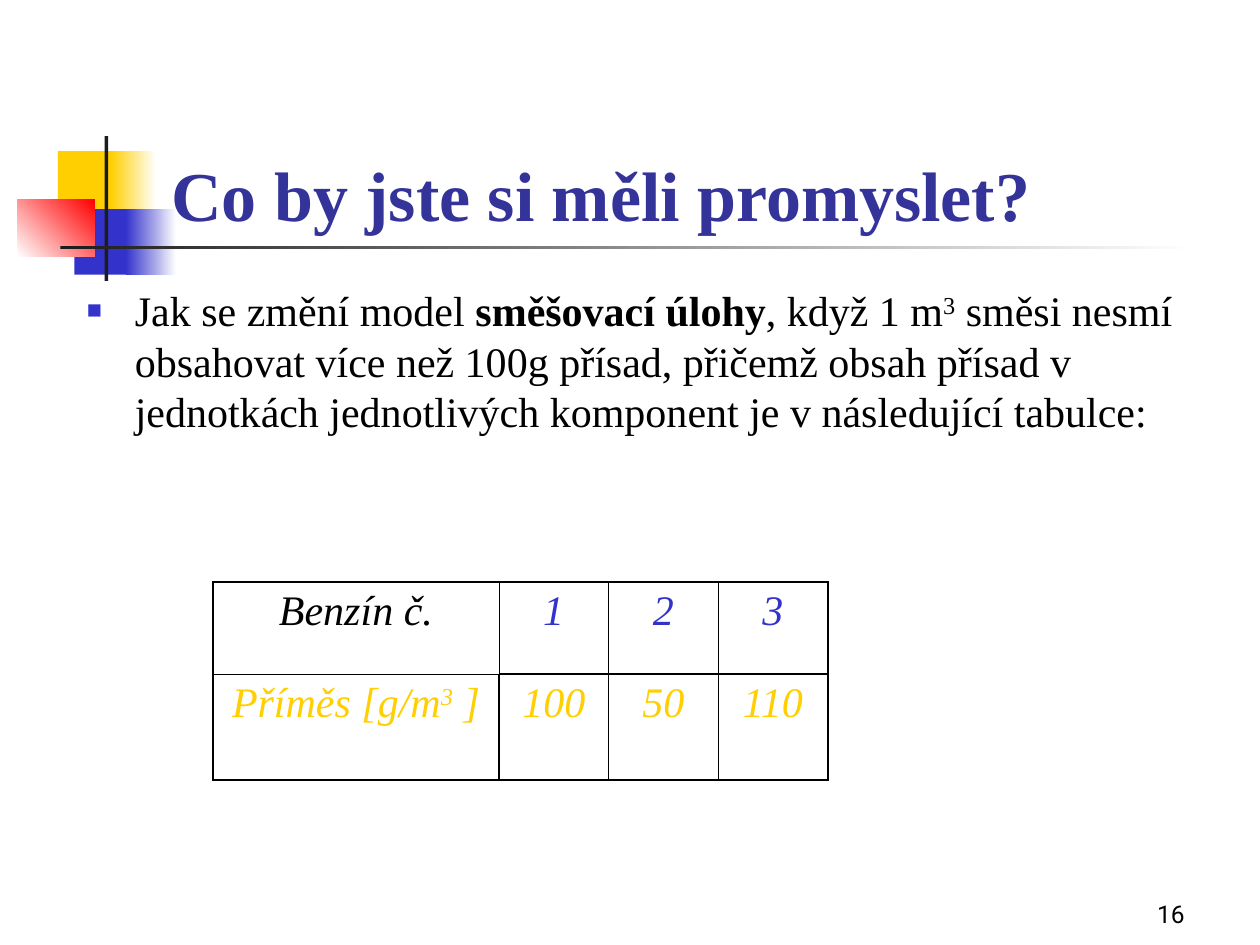
from lxml import etree
from pptx import Presentation
from pptx.dml.color import RGBColor
from pptx.enum.shapes import MSO_SHAPE
from pptx.enum.text import MSO_ANCHOR, MSO_AUTO_SIZE, PP_ALIGN
from pptx.oxml.ns import qn
from pptx.util import Inches, Pt

RECTANGLE = MSO_SHAPE.RECTANGLE
BOTTOM, TOP = MSO_ANCHOR.BOTTOM, MSO_ANCHOR.TOP
LEFT, CENTER, RIGHT = PP_ALIGN.LEFT, PP_ALIGN.CENTER, PP_ALIGN.RIGHT
NO_AUTOFIT = MSO_AUTO_SIZE.NONE

SERIF = "Times New Roman"
BLACK, DARK, WHITE = "000000", "1C1C1C", "FFFFFF"
YELLOW, BLUE, RED, TITLE_BLUE = "FFCF01", "3333CC", "FF0000", "333399"
THIN, OUTER, THICK = 0.45, 1.08, 1.47


def color(value):
    return RGBColor.from_string(value)


def add_text(paragraph, text, size=24, font=SERIF, fill=BLACK,
             bold=False, italic=False, superscript=False):
    run = paragraph.add_run()
    run.text = text
    run.font.size = Pt(size)
    run.font.name = font
    run.font.color.rgb = color(fill)
    run.font.bold = bold
    run.font.italic = italic
    if superscript:
        run.font._element.set("baseline", "30000")


def place(shape, box):
    shape.left, shape.top, shape.width, shape.height = map(Inches, box)


def add_block(slide, box, start, end=None, angle=0):
    """Rectangle in one colour, or in a gradient when end is given."""
    shape = slide.shapes.add_shape(RECTANGLE, *map(Inches, box))
    shape.shadow.inherit = False
    shape.line.fill.background()
    if end is None:
        shape.fill.solid()
        shape.fill.fore_color.rgb = color(start)
        return
    shape.fill.gradient()
    shape.fill.gradient_angle = angle
    for stop, value in zip(shape.fill.gradient_stops, (start, end)):
        stop.color.rgb = color(value)


def add_decoration(slide, box):
    left, top, width, height = box
    # Coloured squares
    add_block(slide, (left + 0.32, top + 0.12, 0.48, 0.52), YELLOW)
    add_block(slide, (left + 0.74, top + 0.12, 0.36, 0.52), YELLOW, WHITE)
    add_block(slide, (left + 0.45, top + 0.58, 0.46, 0.52), BLUE)
    add_block(slide, (left + 0.86, top + 0.58, 0.4, 0.52), BLUE, WHITE)
    add_block(slide, (left, top + 0.5, 0.61, 0.46), WHITE, RED, angle=45)
    # Crossing bars
    add_block(slide, (left + 0.69, top, 0.03, height), DARK)
    add_block(slide, (left + 0.34, top + 0.87, width - 0.34, 0.03), DARK, WHITE)


def add_title(slide, box):
    title = slide.shapes.title
    place(title, box)
    frame = title.text_frame
    frame.auto_size = NO_AUTOFIT
    frame.vertical_anchor = BOTTOM
    paragraph = frame.paragraphs[0]
    paragraph.alignment = LEFT
    add_text(paragraph, "Co by jste si měli promyslet?", size=40,
             fill=TITLE_BLUE, bold=True)


def add_square_bullet(paragraph, indent):
    properties = paragraph._p.get_or_add_pPr()
    properties.set("marL", str(Inches(indent)))
    properties.set("indent", str(-Inches(indent)))
    bullet_color = etree.SubElement(properties, qn("a:buClr"))
    etree.SubElement(bullet_color, qn("a:srgbClr"), val=BLUE)
    etree.SubElement(properties, qn("a:buSzPct"), val="60000")
    etree.SubElement(properties, qn("a:buFont"), typeface=SERIF)
    etree.SubElement(properties, qn("a:buChar"), char="■")


def add_body(slide, box):
    body = slide.placeholders[1]
    place(body, box)
    frame = body.text_frame
    frame.auto_size = NO_AUTOFIT
    frame.vertical_anchor = TOP
    paragraph = frame.paragraphs[0]
    add_square_bullet(paragraph, 0.38)
    paragraph.space_before = Pt(0)
    add_text(paragraph, "Jak se změní model ")
    add_text(paragraph, "směšovací úlohy", bold=True)
    add_text(paragraph, ", když 1 m")
    add_text(paragraph, "3", superscript=True)
    add_text(paragraph, " směsi nesmí obsahovat více než 100g přísad, přičemž "
                        "obsah přísad v jednotkách jednotlivých komponent je "
                        "v následující tabulce:")


def set_borders(cell, **widths):
    properties = cell._tc.get_or_add_tcPr()
    for index, side in enumerate("LRTB"):
        line = etree.Element(qn("a:ln" + side), w=str(Pt(widths[side])))
        fill = etree.SubElement(line, qn("a:solidFill"))
        etree.SubElement(fill, qn("a:srgbClr"), val=BLACK)
        properties.insert(index, line)


def add_mixture_table(slide, box):
    rows = [
        (["Benzín č.", "1", "2", "3"], [BLACK, BLUE, BLUE, BLUE]),
        (["Příměs [g/m", "100", "50", "110"], [YELLOW] * 4),
    ]
    # Line widths: vertical ones by row, horizontal ones from top to bottom
    vertical = [[OUTER, THIN, THIN, THIN, OUTER],
                [OUTER, THICK, THIN, THIN, OUTER]]
    horizontal = [[OUTER] * 4, [THIN, THICK, THICK, THICK], [OUTER] * 4]

    table = slide.shapes.add_table(2, 4, *map(Inches, box)).table
    table.first_row = table.horz_banding = False
    for column, width in zip(table.columns, (2.27, 0.87, 0.87, 0.87)):
        column.width = Inches(width)
    for row, height in zip(table.rows, (0.73, 0.84)):
        row.height = Inches(height)

    for r, (texts, fills) in enumerate(rows):
        for c, (text, fill) in enumerate(zip(texts, fills)):
            cell = table.cell(r, c)
            cell.fill.background()
            set_borders(cell, L=vertical[r][c], R=vertical[r][c + 1],
                        T=horizontal[r][c], B=horizontal[r + 1][c])
            paragraph = cell.text_frame.paragraphs[0]
            paragraph.alignment = CENTER
            add_text(paragraph, text, fill=fill, italic=True)

    # Cubic metre in the second row label
    label = table.cell(1, 0).text_frame.paragraphs[0]
    add_text(label, "3", fill=YELLOW, italic=True, superscript=True)
    add_text(label, " ]", fill=YELLOW, italic=True)


def add_slide_number(slide, box):
    frame = slide.shapes.add_textbox(*map(Inches, box)).text_frame
    frame.word_wrap = True
    frame.vertical_anchor = BOTTOM
    paragraph = frame.paragraphs[0]
    paragraph.alignment = RIGHT
    add_text(paragraph, "16", size=14, font="Roboto")


def main():
    presentation = Presentation()
    presentation.slide_width = Inches(10)
    presentation.slide_height = Inches(7.5)
    slide = presentation.slides.add_slide(presentation.slide_layouts[1])
    add_decoration(slide, (0.14, 1.08, 9.34, 1.15))
    add_slide_number(slide, (7.42, 6.92, 2.08, 0.5))
    add_title(slide, (1.26, 0.67, 8.52, 1.25))
    add_body(slide, (0.59, 2.21, 8.82, 1.54))
    add_mixture_table(slide, (1.69, 4.62, 4.88, 1.57))
    presentation.save("out.pptx")


if __name__ == "__main__":
    main()
